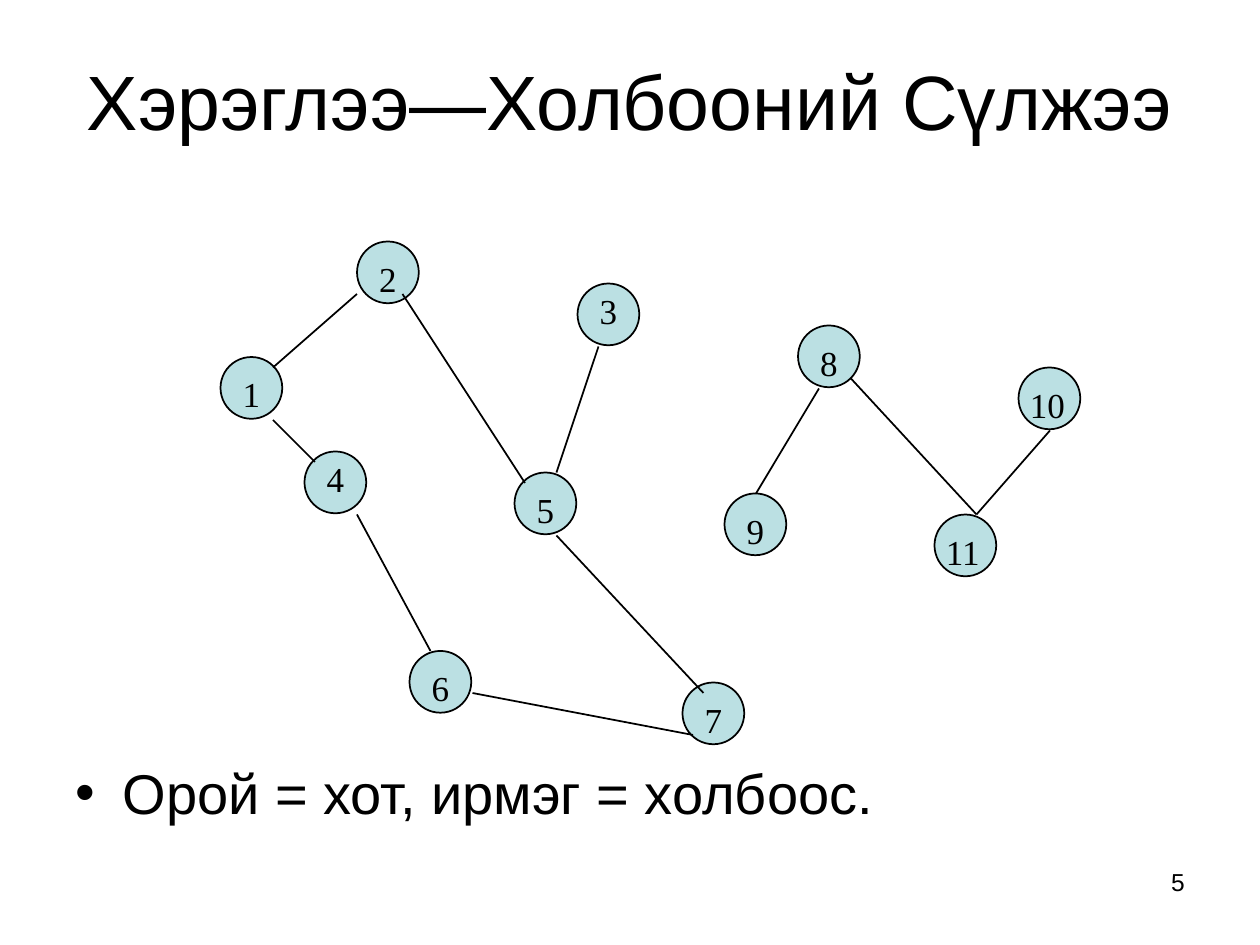
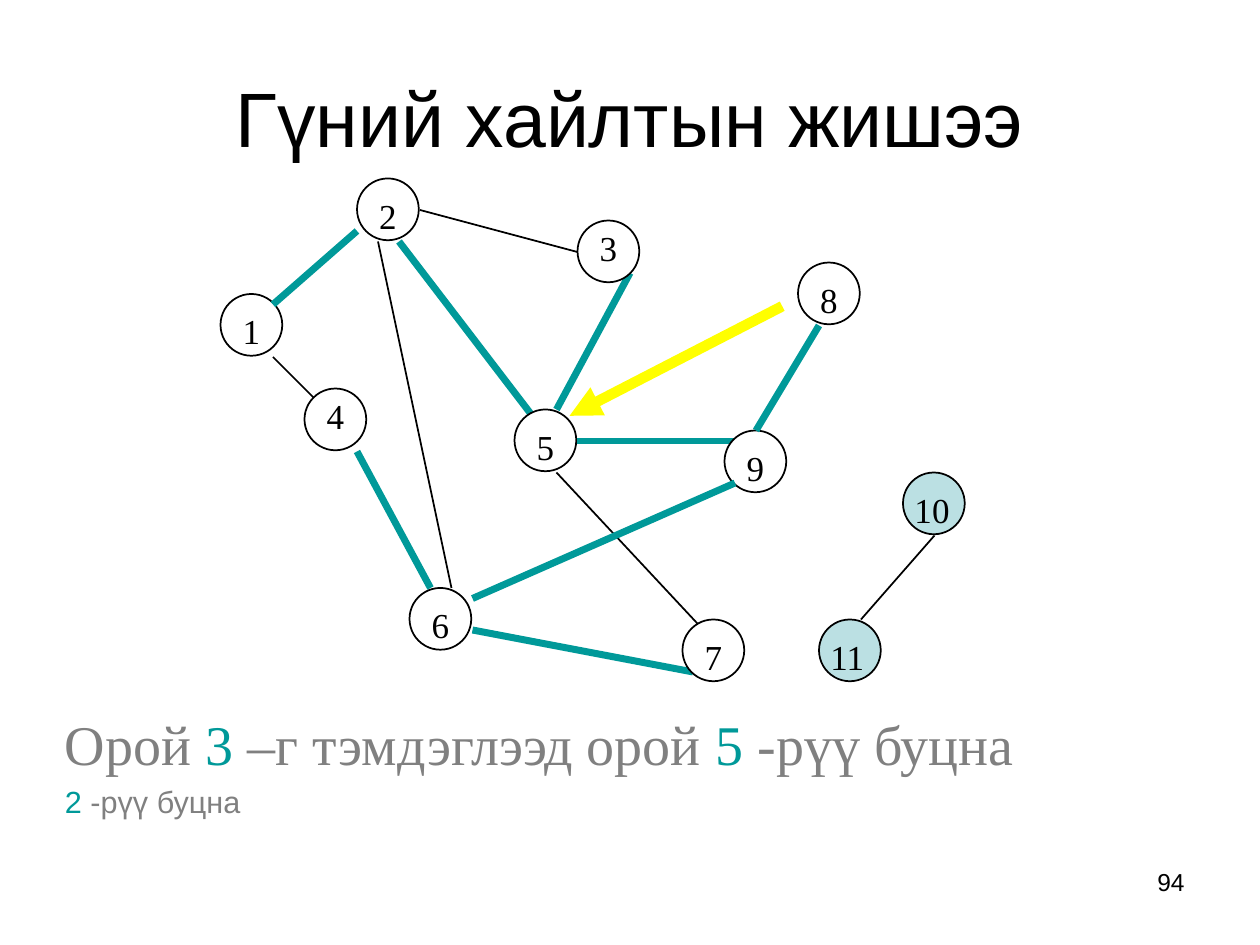
from typing import NamedTuple

from lxml.etree import SubElement
from pptx import Presentation
from pptx.dml.color import RGBColor
from pptx.enum.shapes import MSO_CONNECTOR, MSO_SHAPE
from pptx.enum.text import MSO_ANCHOR, PP_ALIGN
from pptx.oxml.ns import qn
from pptx.util import Pt

BLACK = RGBColor(0x00, 0x00, 0x00)
WHITE = RGBColor(0xFF, 0xFF, 0xFF)
GRAY = RGBColor(0x80, 0x80, 0x80)
PALE_BLUE = RGBColor(0xBB, 0xE0, 0xE3)
TEAL = RGBColor(0x00, 0x99, 0x99)
YELLOW = RGBColor(0xFF, 0xFF, 0x00)
SANS, SERIF = "Arial", "Times New Roman"

TITLE_ONLY = 5
NODE_SIZE = 35.3
SHIFT = -36  # the search graph sits half an inch higher
HANG = 27


class Box(NamedTuple):
    x: float
    y: float
    w: float
    h: float


class Run(NamedTuple):
    text: str
    color: RGBColor = BLACK


class Node(NamedTuple):
    name: str
    x: float
    y: float
    label_dy: float = 5.5

    def moved(self, dy: float) -> "Node":
        return self._replace(y=self.y + dy)


class Edge(NamedTuple):
    x1: float
    y1: float
    x2: float
    y2: float

    def moved(self, dy: float) -> "Edge":
        return self._replace(y1=self.y1 + dy, y2=self.y2 + dy)


# Vertices and edges of the communication network
NODES = {n.name: n for n in (
    Node("1", 126, 204), Node("2", 204, 138), Node("3", 330, 162, 0),
    Node("8", 456, 186), Node("10", 582, 210), Node("4", 174, 258, 0),
    Node("5", 294, 270), Node("9", 414, 282), Node("11", 534, 294),
    Node("6", 234, 372), Node("7", 390, 390),
)}
EDGES = {
    "1-2": Edge(204, 168, 156, 210),
    "2-5": Edge(230, 168, 300, 276),
    "1-4": Edge(156, 240, 180, 264),
    "4-6": Edge(204, 294, 246, 372),
    "6-7": Edge(270, 396, 396, 420),
    "3-5": Edge(342, 198, 318, 270),
    "5-7": Edge(318, 306, 402, 396),
    "8-9": Edge(468, 222, 432, 282),
    "8-11": Edge(486, 216, 558, 294),
    "10-11": Edge(558, 294, 600, 246),
}

# Search graph: same vertices, some edges added or moved
SEARCH_NODES = {k: n.moved(SHIFT) for k, n in NODES.items()} | {
    "10": Node("10", 516, 270), "11": Node("11", 468, 354),
}
SEARCH_EDGES = {k: e.moved(SHIFT) for k, e in EDGES.items()} | {
    "2-5": Edge(228, 138, 306, 240),
    "3-5": Edge(360, 156, 318, 234),
    "10-11": Edge(492, 354, 534, 306),
    "5-9": Edge(330, 252, 420, 252),
    "2-3": Edge(240, 120, 330, 144),
    "2-6": Edge(216, 138, 258, 336),
    "6-9": Edge(270, 342, 420, 276),
}
UNUSED_EDGES = ("1-4", "5-7", "10-11", "2-3", "2-6")
UNVISITED = ("10", "11")
# Visited vertex and the edge that led to it
VISITS = (("1", None), ("2", "1-2"), ("5", "2-5"), ("9", "5-9"), ("8", "8-9"),
          ("6", "6-9"), ("4", "4-6"), ("7", "6-7"), ("3", "3-5"))
BACKTRACK = Edge(325.5, 237.6, 447, 175)


def place(sp, box: Box) -> None:
    sp.left, sp.top, sp.width, sp.height = (Pt(v) for v in box)


def write(sp, runs: list[Run], size: float, font: str = SANS,
          align: PP_ALIGN = PP_ALIGN.LEFT):
    tf = sp.text_frame
    tf.word_wrap = True
    p = tf.paragraphs[0]
    p.alignment = align
    for text, color in runs:
        r = p.add_run()
        r.text = text
        r.font.size, r.font.name = Pt(size), font
        r.font.color.rgb = color
    return p


def add_text(s, box: Box, runs: list[Run], size: float, font: str = SANS,
             align: PP_ALIGN = PP_ALIGN.LEFT):
    sp = s.shapes.add_textbox(*(Pt(v) for v in box))
    return write(sp, runs, size, font, align)


def hang(p, bullet: str = "") -> None:
    pPr = p._p.get_or_add_pPr()
    pPr.set("marL", str(Pt(HANG)))
    pPr.set("indent", str(Pt(-HANG)))
    if bullet:
        SubElement(pPr, qn("a:buFont")).set("typeface", SANS)
        SubElement(pPr, qn("a:buChar")).set("char", bullet)


def add_slide(prs, title: str, title_box: Box, number: str):
    s = prs.slides.add_slide(prs.slide_layouts[TITLE_ONLY])
    place(s.shapes.title, title_box)
    write(s.shapes.title, [Run(title)], 44, align=PP_ALIGN.CENTER)
    s.shapes.title.text_frame.vertical_anchor = MSO_ANCHOR.MIDDLE
    add_text(s, Box(516, 492, 168, 37.5), [Run(number)], 14,
             align=PP_ALIGN.RIGHT)
    return s


def add_circle(s, node: Node, fill: RGBColor) -> None:
    sp = s.shapes.add_shape(MSO_SHAPE.OVAL, Pt(node.x), Pt(node.y),
                            Pt(NODE_SIZE), Pt(NODE_SIZE))
    sp.shadow.inherit = False
    sp.fill.solid()
    sp.fill.fore_color.rgb = fill
    sp.line.color.rgb = BLACK
    sp.line.width = Pt(1)


def add_label(s, node: Node) -> None:
    dx, width = (5.5, 18) if len(node.name) == 1 else (-0.5, 36)
    box = Box(node.x + dx, node.y + node.label_dy, width, 31)
    add_text(s, box, [Run(node.name)], 20, SERIF)


def add_edge(s, edge: Edge, color: RGBColor = BLACK, width: float = 1):
    c = s.shapes.add_connector(MSO_CONNECTOR.STRAIGHT, *(Pt(v) for v in edge))
    c.line.color.rgb = color
    c.line.width = Pt(width)
    SubElement(c._element.spPr, qn("a:effectLst"))
    return c


def build_network(prs) -> None:
    s = add_slide(prs, "Хэрэглээ—Холбооний Сүлжээ", Box(0, 12, 720, 90), "5")
    p = add_text(s, Box(36, 430, 648, 52.5),
                 [Run("Орой = хот, ирмэг = холбоос.")], 32)
    hang(p, "•")
    for node in NODES.values():
        add_circle(s, node, PALE_BLUE)
    for edge in EDGES.values():
        add_edge(s, edge)
    for node in NODES.values():
        add_label(s, node)


def build_search(prs) -> None:
    s = add_slide(prs, "Гүний хайлтын жишээ", Box(36, 21.6, 648, 90), "94")

    # Part not reached by the search
    for name in UNVISITED:
        add_circle(s, SEARCH_NODES[name], PALE_BLUE)
        add_label(s, SEARCH_NODES[name])
    for name in UNUSED_EDGES:
        add_edge(s, SEARCH_EDGES[name])

    # Search tree in the order of visiting
    for name, via in VISITS:
        if via:
            add_edge(s, SEARCH_EDGES[via], TEAL, 4)
        add_circle(s, SEARCH_NODES[name], WHITE)
        add_label(s, SEARCH_NODES[name])

    # Backtracking arrow
    arrow = add_edge(s, BACKTRACK, YELLOW, 6)
    SubElement(arrow.line._get_or_add_ln(), qn("a:headEnd")).set(
        "type", "triangle")

    # Explanation
    add_text(s, Box(30, 402, 665, 45.5),
             [Run("Орой ", GRAY), Run("3 ", TEAL),
              Run("–г тэмдэглээд орой ", GRAY), Run("5", TEAL),
              Run(" -рүү буцна", GRAY)], 32, SERIF)
    hang(add_text(s, Box(30, 444, 624, 30),
                  [Run("2", TEAL), Run(" -рүү буцна", GRAY)], 17.5))


def main() -> None:
    prs = Presentation()
    prs.slide_width, prs.slide_height = Pt(720), Pt(540)
    build_network(prs)
    build_search(prs)
    prs.save("out.pptx")


if __name__ == "__main__":
    main()
